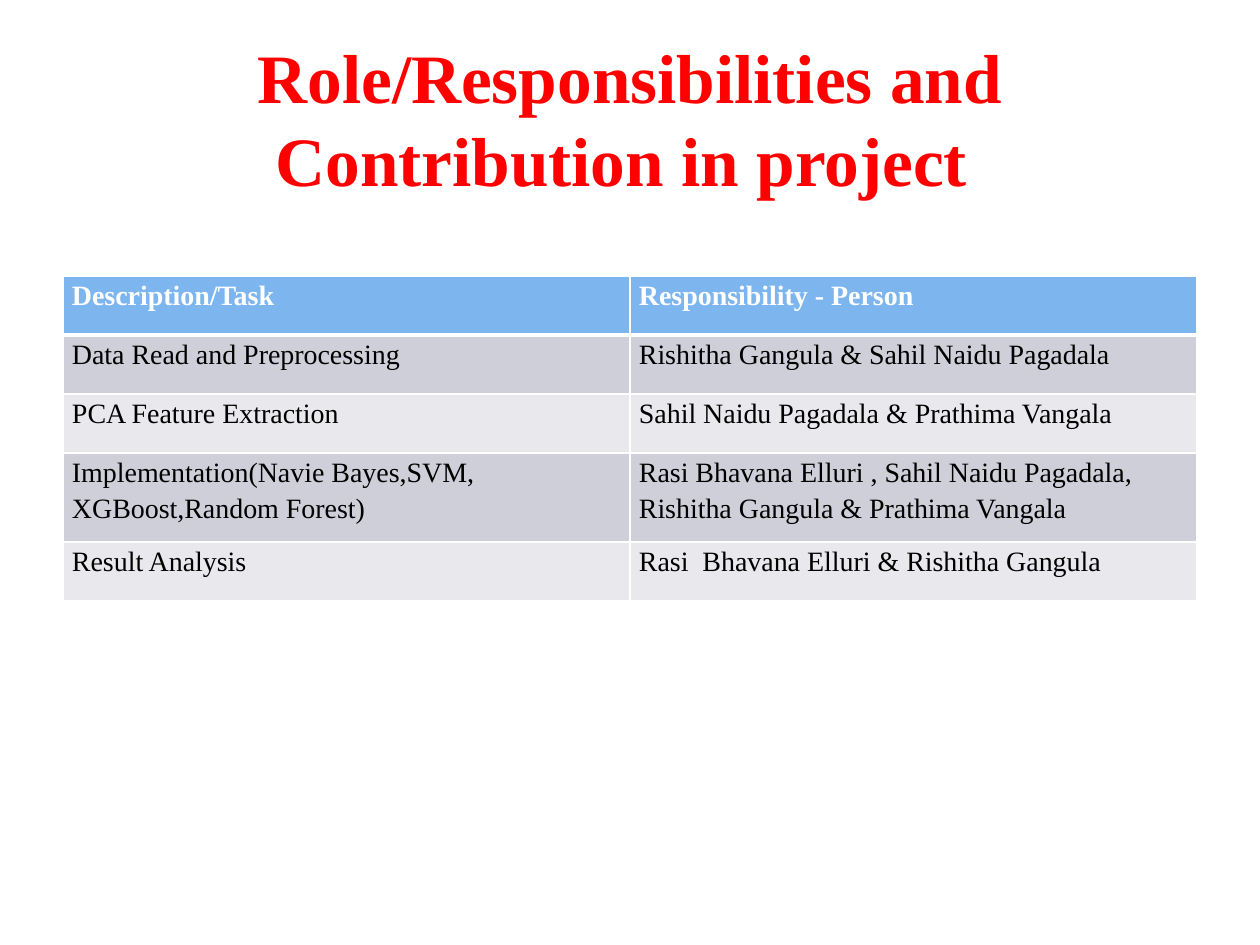
import pptx
import pptx.util
import pptx.dml.color
import pptx.enum.text
import pptx.oxml.ns
import lxml.etree

PIXEL = 914400 // 126
FONT = "Times New Roman"
RED = pptx.dml.color.RGBColor(0xFF, 0x00, 0x00)
WHITE = pptx.dml.color.RGBColor(0xFF, 0xFF, 0xFF)
BLACK = pptx.dml.color.RGBColor(0x00, 0x00, 0x00)
BLUE = pptx.dml.color.RGBColor(0x7D, 0xB6, 0xEF)
DARK_BAND = pptx.dml.color.RGBColor(0xCF, 0xCF, 0xD9)
LIGHT_BAND = pptx.dml.color.RGBColor(0xE9, 0xE9, 0xED)

TASKS = [
    (["Description/Task"], ["Responsibility - Person"]),
    (["Data Read and Preprocessing"], ["Rishitha Gangula & Sahil Naidu Pagadala"]),
    (["PCA Feature Extraction"], ["Sahil Naidu Pagadala & Prathima Vangala"]),
    (["Implementation(Navie Bayes,SVM, XGBoost,Random Forest)"],
     ["Rasi Bhavana Elluri , Sahil Naidu Pagadala,",
      "Rishitha Gangula & Prathima Vangala"]),
    (["Result Analysis"], ["Rasi  Bhavana Elluri & Rishitha Gangula"]),
]
ROW_HEIGHTS = [59, 59, 59, 89, 59]


def px(length):
    """Turn pixels into EMU."""
    return pptx.util.Emu(length * PIXEL)


def add_span(para, text, size, color, bold):
    """Add one formatted run to a paragraph."""
    span = para.add_run()
    span.text = text
    span.font.name = FONT
    span.font.size = pptx.util.Pt(size)
    span.font.bold = bold
    span.font.color.rgb = color


def place_title(page, box):
    """Place and format the title in the given box."""
    title = page.shapes.title
    title.left, title.top, title.width, title.height = map(px, box)
    frame = title.text_frame
    frame.word_wrap = True
    frame.vertical_anchor = pptx.enum.text.MSO_ANCHOR.MIDDLE
    para = frame.paragraphs[0]
    para.alignment = pptx.enum.text.PP_ALIGN.CENTER
    add_span(para, "Role/Responsibilities and Contribution in project ", 39.6, RED, True)


def add_borders(cell, bottom_width):
    """Draw white borders around a cell."""
    properties = cell._tc.get_or_add_tcPr()
    for side, width in (("L", 1), ("R", 1), ("T", 1), ("B", bottom_width)):
        line = lxml.etree.SubElement(
            properties, pptx.oxml.ns.qn("a:ln" + side), w=str(pptx.util.Pt(width)))
        fill = lxml.etree.SubElement(line, pptx.oxml.ns.qn("a:solidFill"))
        lxml.etree.SubElement(fill, pptx.oxml.ns.qn("a:srgbClr"), val=str(WHITE))


def fill_cell(cell, lines, row):
    """Write and style one cell according to its row."""
    header = row == 0
    cell.margin_left = cell.margin_right = px(9)
    cell.margin_top = cell.margin_bottom = 0
    add_borders(cell, 3 if header else 1)
    cell.fill.solid()
    cell.fill.fore_color.rgb = BLUE if header else DARK_BAND if row % 2 else LIGHT_BAND
    frame = cell.text_frame
    for index, text in enumerate(lines):
        para = frame.add_paragraph() if index else frame.paragraphs[0]
        para.line_spacing = 1.15
        add_span(para, text, 16, WHITE if header else BLACK, header)


def place_tasks(page, box):
    """Place the task table in the given box."""
    table = page.shapes.add_table(len(TASKS), len(TASKS[0]), *map(px, box)).table
    for row, (height, entries) in enumerate(zip(ROW_HEIGHTS, TASKS)):
        table.rows[row].height = px(height)
        for column, lines in enumerate(entries):
            fill_cell(table.cell(row, column), lines, row)


def build_page(deck, box):
    """Build the responsibilities slide inside the given box."""
    left, top, width, height = box
    page = deck.slides.add_slide(deck.slide_layouts[5])
    place_title(page, (left + 63, top + 38, width - 126, 158))
    place_tasks(page, (left + 63, top + 276, width - 126, sum(ROW_HEIGHTS)))


deck = pptx.Presentation()
deck.slide_width = pptx.util.Inches(10)
deck.slide_height = pptx.util.Inches(7.5)
build_page(deck, (0, 0, 1260, 945))
deck.save("out.pptx")
